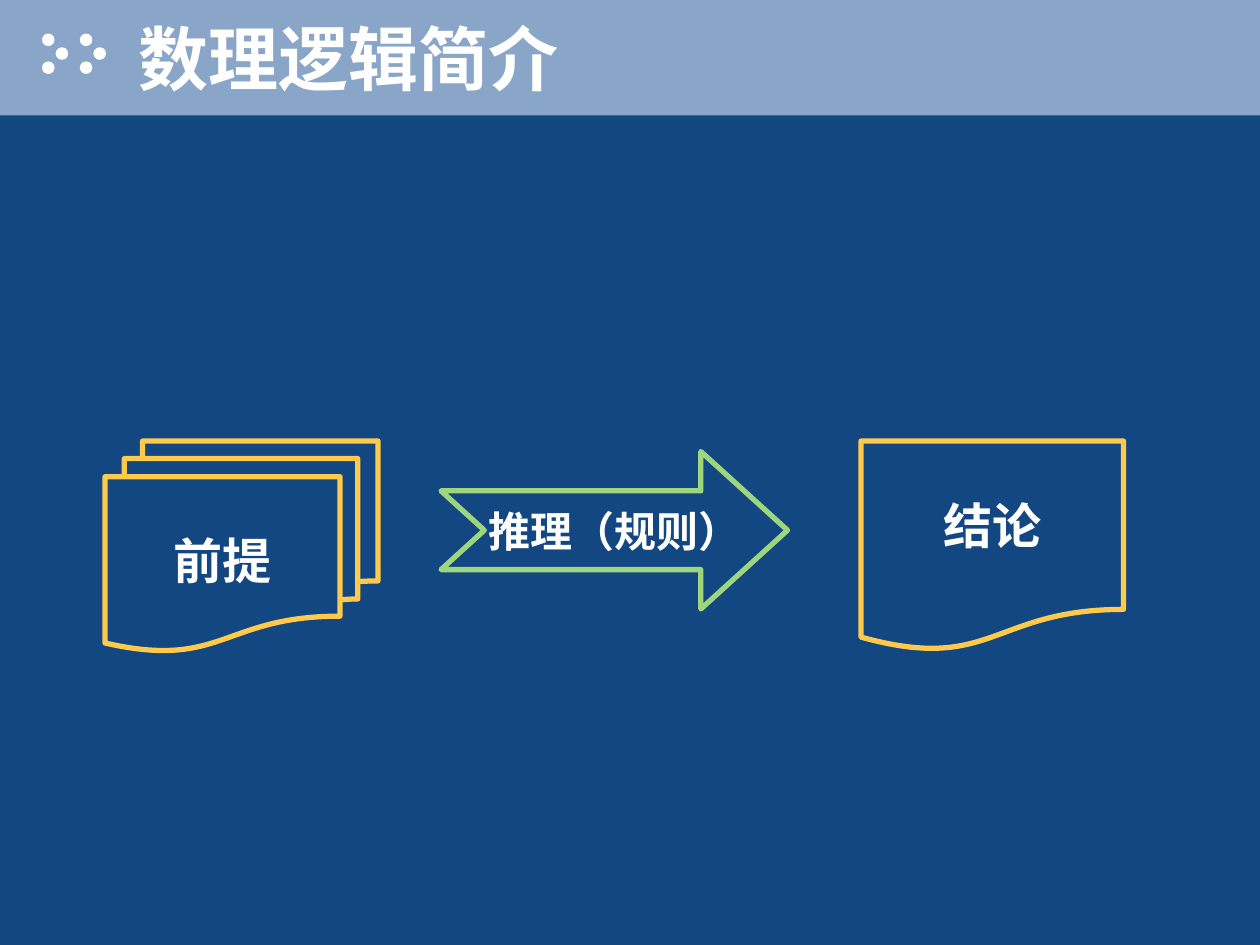
from dataclasses import dataclass

from lxml import etree
from pptx import Presentation
from pptx import util as u
from pptx.dml.color import RGBColor
from pptx.enum import shapes, text
from pptx.oxml import ns


@dataclass(frozen=True)
class Theme:
    background: str = "134781"
    band: str = "89A5C7"
    white: str = "FFFFFF"
    document: str = "FFC94C"
    arrow: str = "9ED67D"
    shadow: str = "000000"
    title_font: str = "Noto Sans CJK SC"
    body_font: str = "Arial"
    title_size: int = 40
    document_size: int = 28
    arrow_size: int = 24
    outline: int = 3


THEME = Theme()
WIDTH, HEIGHT = u.Inches(10), u.Inches(7.5)
COLUMN, ROW = WIDTH // 120, HEIGHT // 90
KINDS = shapes.MSO_SHAPE


def box(column, row, columns, rows):
    return [round(n) for n in (column * COLUMN, row * ROW, columns * COLUMN, rows * ROW)]


def paint(fill, colour):
    fill.solid()
    fill.fore_color.rgb = RGBColor.from_string(colour)


def style(paragraph, font_name, size):
    font = paragraph.font
    font.name, font.size, font.bold = font_name, u.Pt(size), True
    paint(font.fill, THEME.white)
    properties = paragraph._p.pPr.find(ns.qn("a:defRPr"))
    latin = properties.find(ns.qn("a:latin"))
    east_asian = etree.Element(ns.qn("a:ea"), typeface=THEME.title_font)
    latin.addnext(east_asian)


def add_plain(slide, kind, place, colour):
    shape = slide.shapes.add_shape(kind, *place)
    shape.shadow.inherit = False
    paint(shape.fill, colour)
    shape.line.fill.background()


def add_step(slide, kind, place, label, colour, size):
    step = slide.shapes.add_shape(kind, *place)
    step.shadow.inherit = False
    step.fill.background()
    paint(step.line.fill, colour)
    step.line.width = u.Pt(THEME.outline)
    frame = step.text_frame
    frame.word_wrap = False
    frame.vertical_anchor = text.MSO_ANCHOR.MIDDLE
    paragraph = frame.paragraphs[0]
    paragraph.text = label
    paragraph.alignment = text.PP_ALIGN.CENTER
    paragraph.space_before = u.Pt(size * 0.56)
    style(paragraph, THEME.body_font, size)
    return step


def add_header(slide):
    add_plain(slide, KINDS.RECTANGLE, box(0, 0, 120, 11), THEME.band)
    for left in (4, 7.6):
        for shift, top in ((0, 3.2), (1.3, 4.5), (0, 5.85)):
            add_plain(slide, KINDS.OVAL, box(left + shift, top, 1.2, 1.2), THEME.white)


def add_text_shadow(run):
    properties = run._r.get_or_add_rPr()
    effects = etree.SubElement(properties, ns.qn("a:effectLst"))
    shadow = etree.SubElement(effects, ns.qn("a:outerShdw"), dist="38100", dir="2700000")
    etree.SubElement(shadow, ns.qn("a:srgbClr"), val=THEME.shadow)


def set_title(slide, wording):
    title = slide.shapes.title
    title.left, title.top, title.width, title.height = box(12, 2, 108, 7)
    slide.shapes._spTree.append(title._element)
    frame = title.text_frame
    frame.vertical_anchor = text.MSO_ANCHOR.MIDDLE
    frame.auto_size = text.MSO_AUTO_SIZE.NONE
    paragraph = frame.paragraphs[0]
    paragraph.text = wording
    paragraph.alignment = text.PP_ALIGN.LEFT
    style(paragraph, THEME.title_font, THEME.title_size)
    add_text_shadow(paragraph.runs[0])


def main():
    deck = Presentation()
    deck.slide_width, deck.slide_height = WIDTH, HEIGHT
    slide = deck.slides.add_slide(deck.slide_layouts[5])
    paint(slide.background.fill, THEME.background)
    add_header(slide)
    set_title(slide, "数理逻辑简介")
    add_step(slide, KINDS.FLOWCHART_MULTIDOCUMENT, box(10, 42, 26, 20),
             "前提", THEME.document, THEME.document_size)
    add_step(slide, KINDS.FLOWCHART_DOCUMENT, box(82, 42, 25, 20),
             "结论", THEME.document, THEME.document_size)
    inference = add_step(slide, KINDS.NOTCHED_RIGHT_ARROW, box(42, 43, 33, 15),
                         "推理（规则）", THEME.arrow, THEME.arrow_size)
    inference.adjustments[0] = 0.5
    inference.adjustments[1] = 0.55
    deck.save("out.pptx")


if __name__ == "__main__":
    main()
